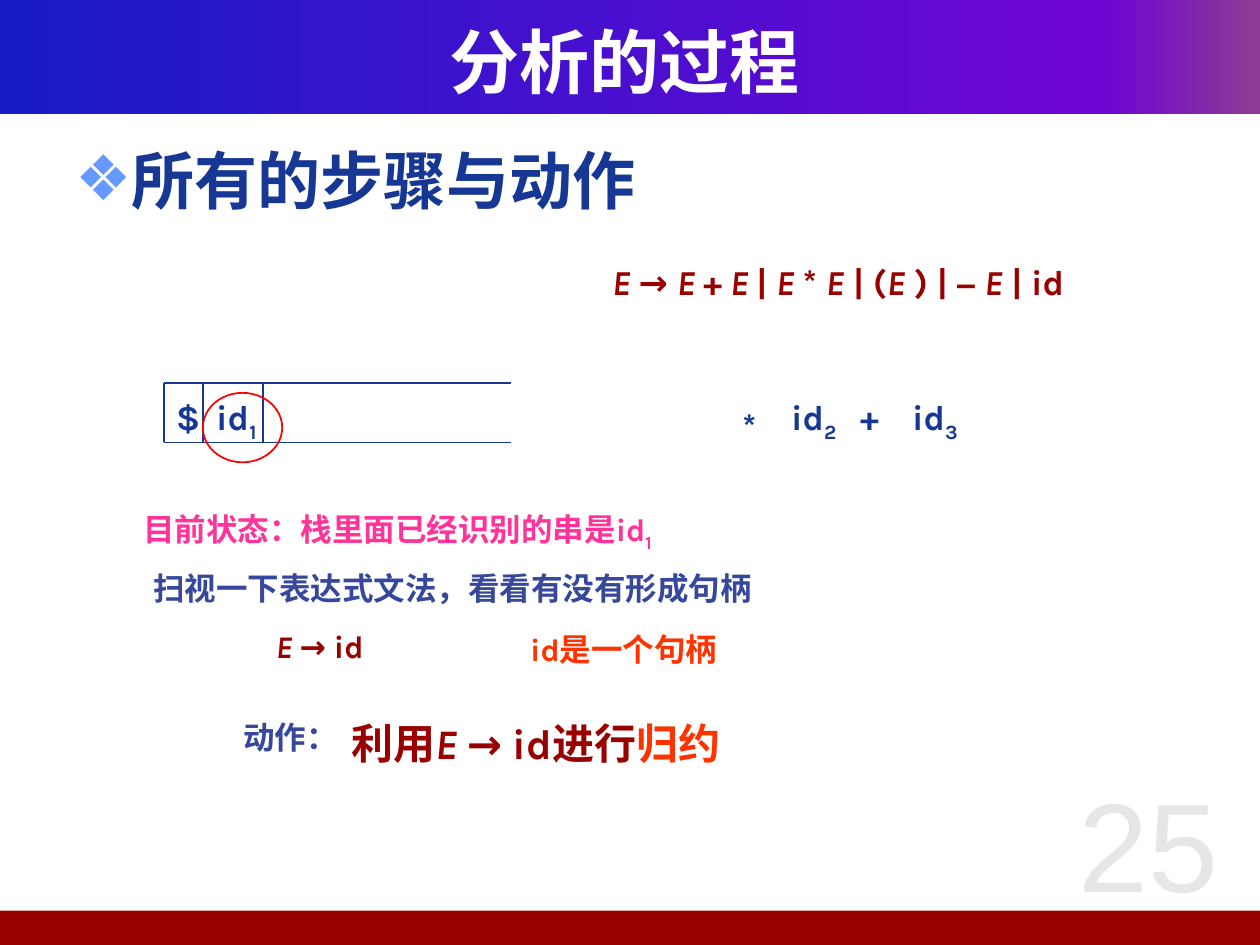
"""Build the slide on the steps and actions of bottom-up parsing."""
from lxml import etree
from pptx import Presentation
from pptx.dml.color import RGBColor
from pptx.enum import shapes, text
from pptx.oxml import ns
from pptx.util import Cm, Pt

NAVY, BLUE, DARK, RED = "163794", "36479C", "990000", "FF3300"
CJK = "Noto Sans CJK SC"


def rgb(code):
    return RGBColor.from_string(code)


def put(words, x, y, w, h, size=18, color=NAVY, face="Karla", bold=True, sub="",
        tail="", wrap=False, grow=True, align=text.PP_ALIGN.LEFT, bullet=""):
    """Place text; backticks switch italics, sub is lowered, tail is red."""
    box = deck.shapes.add_textbox(Cm(x), Cm(y), Cm(w), Cm(h))
    frame = box.text_frame
    frame.word_wrap = wrap
    frame.auto_size = (text.MSO_AUTO_SIZE.SHAPE_TO_FIT_TEXT if grow
                       else text.MSO_AUTO_SIZE.NONE)
    para = frame.paragraphs[0]
    para.alignment = align
    if bullet:
        props = para._p.get_or_add_pPr()
        props.set("marL", str(Cm(0.95)))
        props.set("indent", str(-Cm(0.95)))
        tint = etree.SubElement(props, ns.qn("a:buClr"))
        etree.SubElement(tint, ns.qn("a:srgbClr"), val="6699FF")
        etree.SubElement(props, ns.qn("a:buFont"), typeface="Arial")
        etree.SubElement(props, ns.qn("a:buChar"), char=bullet)
    parts = [(part, i % 2 == 1, color, False)
             for i, part in enumerate(words.split("`"))]
    parts += [(sub, False, color, True), (tail, False, RED, False)]
    for part, slant, shade, low in parts:
        if not part:
            continue
        run = para.add_run()
        run.text = part
        font = run.font
        font.size, font.bold, font.italic, font.name = Pt(size), bold, slant, face
        font.color.rgb = rgb(shade)
        props = run._r.get_or_add_rPr()
        etree.SubElement(props, ns.qn("a:ea"), typeface=CJK)
        if low:
            props.set("baseline", "-25000")
    return frame


show = Presentation()
show.slide_width, show.slide_height = Cm(25.4), Cm(19.05)
deck = show.slides.add_slide(show.slide_layouts[6])

top = deck.shapes.add_shape(shapes.MSO_SHAPE.RECTANGLE, 0, 0, Cm(25.4), Cm(2.31))
top.fill.gradient()
top.fill.gradient_angle = 0
stops = top._element.spPr.find(".//" + ns.qn("a:gsLst"))
for stop in list(stops):
    stops.remove(stop)
for place, code in ((0, "181CC7"), (88, "7005D4"), (100, "8C3D91")):
    stop = etree.SubElement(stops, ns.qn("a:gs"), pos=str(place * 1000))
    etree.SubElement(stop, ns.qn("a:srgbClr"), val=code)
foot = deck.shapes.add_shape(
    shapes.MSO_SHAPE.RECTANGLE, 0, Cm(18.36), Cm(25.4), Cm(0.69))
foot.fill.solid()
foot.fill.fore_color.rgb = rgb(DARK)
for band in (top, foot):
    band.shadow.inherit = False
    band.line.fill.background()

mid = text.PP_ALIGN.CENTER
put("25", 20.9, 15.32, 4.5, 3.61, size=72, color="E6E6E6", face="Arial",
    bold=False, wrap=True, grow=False, align=mid)
title = put("分析的过程", 0.84, 0.43, 23.5, 1.57, size=40, color="FFFFFF",
            face=CJK, wrap=True, grow=False, align=mid)
title.vertical_anchor = text.MSO_ANCHOR.MIDDLE
put("所有的步骤与动作", 1.27, 2.72, 22.86, 14.58, size=36, face=CJK,
    wrap=True, grow=False, bullet="❖")
put("`E `→ `E `+` E `| `E `* `E` | (`E` ) | − `E` | id",
    12.09, 5.13, 12.07, 1.09, size=20, color=DARK)

for word, sub, x, y, w in (
        ("$", "", 3.3, 7.85, 0.97), ("id", "1", 4.11, 7.85, 1.45),
        ("*", "", 14.71, 8.03, 0.97), ("id", "2", 15.7, 7.85, 1.45),
        ("+", "", 17.09, 7.85, 1.09), ("id", "3", 18.14, 7.85, 1.45)):
    put(word, x, y, w, 1.09, size=20, sub=sub)

left, right, high, low = 3.3, 10.31, 7.72, 8.92
rules = [(left, y, right, y) for y in (high, low)]
rules += [(x, high, x, low) for x in (left, 4.09, 5.31)]
for ends in rules:
    rule = deck.shapes.add_connector(
        shapes.MSO_CONNECTOR.STRAIGHT, *[Cm(end) for end in ends])
    rule.line.color.rgb = rgb(NAVY)
    rule.line.width = Pt(1)
    etree.SubElement(rule._element.spPr, ns.qn("a:effectLst"))

put("目前状态：栈里面已经识别的串是id", 2.64, 10.16, 11.05, 1.02,
    color="FF3399", sub="1", wrap=True)
put("扫视一下表达式文法，看看有没有形成句柄", 2.84, 11.35, 13.06, 1.02,
    color=BLUE, wrap=True)
put("`E `→ id", 5.31, 12.52, 2.49, 1.02, color=DARK)
put("id是一个句柄", 10.44, 12.57, 4.85, 1.02, color=RED, wrap=True)
put("动作：", 4.65, 14.35, 2.44, 1.02, color=BLUE)
put("利用`E `→ id进行", 6.83, 14.33, 8.66, 1.27, size=24, color=DARK,
    tail="归约", wrap=True)

ring = deck.shapes.add_shape(
    shapes.MSO_SHAPE.OVAL, Cm(4.09), Cm(7.92), Cm(1.6), Cm(1.4))
ring.shadow.inherit = False
ring.fill.background()
ring.line.color.rgb = rgb("FF0000")
ring.line.width = Pt(1)

show.save("out.pptx")
